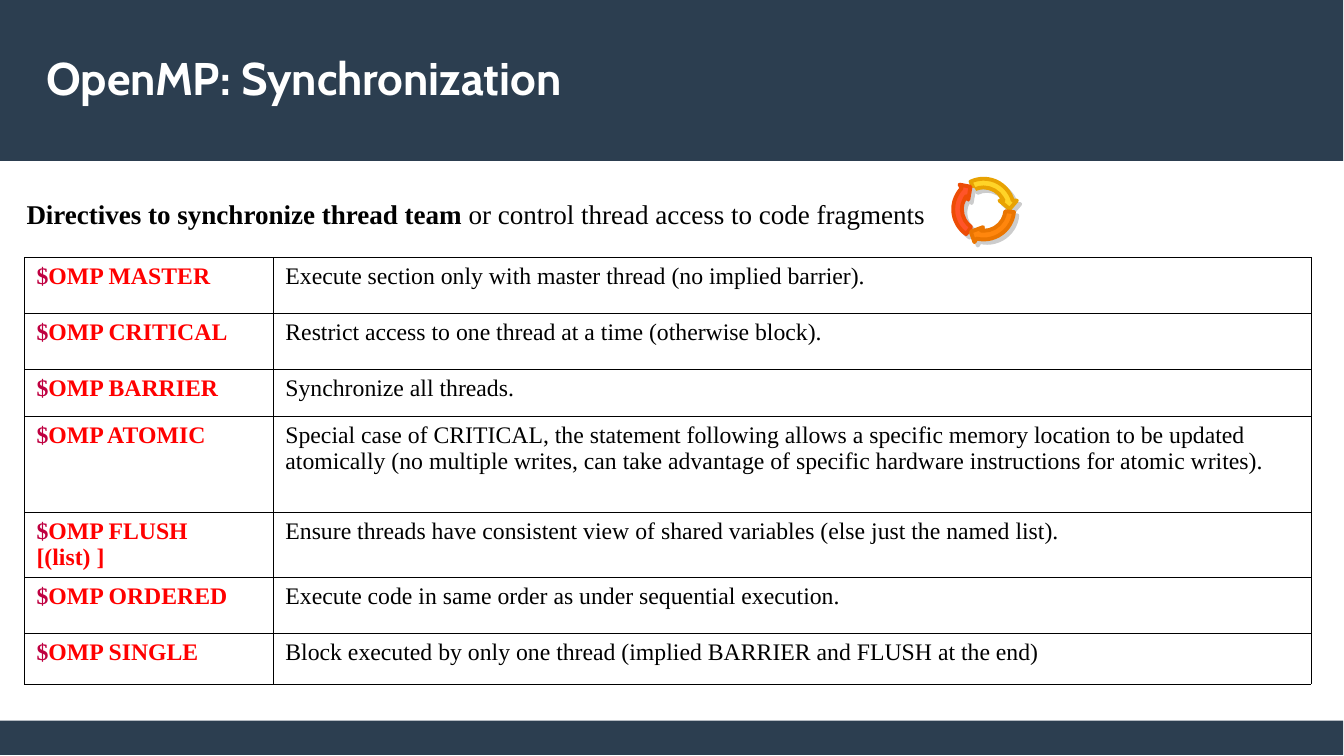
from dataclasses import dataclass

from lxml.etree import SubElement
from pptx import Presentation
from pptx.dml.color import RGBColor
from pptx.enum.shapes import MSO_SHAPE
from pptx.enum.text import MSO_ANCHOR, MSO_AUTO_SIZE, PP_ALIGN
from pptx.oxml import parse_xml
from pptx.oxml.ns import nsdecls, qn
from pptx.util import Pt


@dataclass(frozen=True)
class Theme:
    navy: str = "2C3E50"
    white: str = "FFFFFF"
    black: str = "000000"
    red: str = "FF0000"
    plum: str = "BF0041"
    shade: str = "CCCCCC"
    head: str = "Cabin"
    text: str = "Times New Roman"
    big: float = 27
    mid: float = 16
    small: float = 14


@dataclass(frozen=True)
class Band:
    top: float
    high: float


@dataclass(frozen=True)
class Arrow:
    turn: float
    start: float
    fill: str
    line: str


@dataclass(frozen=True)
class Entry:
    name: str
    note: str
    high: float


@dataclass(frozen=True)
class Part:
    text: str
    color: str
    bold: bool


THEME = Theme()
WIDE, HIGH = 793.44, 446.4
BANDS = [Band(425.5, 20.2), Band(0, 95)]
ARROWS = [
    Arrow(0, 146.73, "FFD428", "E8A202"),
    Arrow(240, 147, "FF5429", "ED4C05"),
    Arrow(120, 147.43, "FF860D", "EA7500"),
]
ENTRIES = [
    Entry("MASTER", "Execute section only with master thread (no implied barrier).", 33.1),
    Entry("CRITICAL", "Restrict access to one thread at a time (otherwise block).", 33.1),
    Entry("BARRIER", "Synchronize all threads.", 27.8),
    Entry("ATOMIC", "Special case of CRITICAL, the statement following allows a specific "
          "memory location to be updated atomically (no multiple writes, can take "
          "advantage of specific hardware instructions for atomic writes).", 56.7),
    Entry("FLUSH [(list) ]", "Ensure threads have consistent view of shared variables "
          "(else just the named list).", 32.4),
    Entry("ORDERED", "Execute code in same order as under sequential execution.", 33.1),
    Entry("SINGLE", "Block executed by only one thread (implied BARRIER and FLUSH "
          "at the end)", 30.2),
]


def paint(item, color: str) -> None:
    """Give a shape or cell a solid fill."""
    item.fill.solid()
    item.fill.fore_color.rgb = RGBColor.from_string(color)


def write(frame, parts: list[Part], size: float) -> None:
    """Fill the first paragraph with coloured runs in the text font."""
    para = frame.paragraphs[0]
    para.font.name = THEME.text
    para.font.size = Pt(size)
    for part in parts:
        run = para.add_run()
        run.text = part.text
        run.font.bold = part.bold
        run.font.color.rgb = RGBColor.from_string(part.color)


def add_band(slide, band: Band) -> None:
    """Place a full-width band behind everything else."""
    shape = slide.shapes.add_shape(
        MSO_SHAPE.RECTANGLE, 0, Pt(band.top), Pt(WIDE - 0.5), Pt(band.high))
    shape.shadow.inherit = False
    paint(shape, THEME.navy)
    shape.line.fill.background()
    slide.shapes.element.insert(2, shape.element)


def set_title(slide) -> None:
    title = slide.shapes.title
    title.left, title.top = Pt(27.4), Pt(18)
    title.width, title.height = Pt(735.8), Pt(55.4)
    frame = title.text_frame
    frame.auto_size = MSO_AUTO_SIZE.NONE
    frame.vertical_anchor = MSO_ANCHOR.MIDDLE
    frame.margin_left = frame.margin_right = 0
    frame.margin_top = frame.margin_bottom = 0
    frame.text = "OpenMP: Synchronization"
    para = frame.paragraphs[0]
    para.alignment = PP_ALIGN.LEFT
    para.font.name = THEME.head
    para.font.size = Pt(THEME.big)
    para.font.bold = True
    para.font.color.rgb = RGBColor.from_string(THEME.white)


def rule(cell) -> None:
    """Draw a hairline on all four sides of a cell."""
    props = cell._tc.get_or_add_tcPr()
    for spot, side in enumerate("LRTB"):
        props.insert(spot, parse_xml(
            f'<a:ln{side} {nsdecls("a")} w="{Pt(0.06)}"><a:solidFill>'
            f'<a:srgbClr val="{THEME.black}"/></a:solidFill></a:ln{side}>'))


def add_grid(slide) -> None:
    total = sum(entry.high for entry in ENTRIES)
    table = slide.shapes.add_table(
        len(ENTRIES), 2, Pt(14.4), Pt(151.9), Pt(759.6), Pt(total)).table
    table.first_row = table.horz_banding = False
    for column, wide in zip(table.columns, (146.9, 612.7)):
        column.width = Pt(wide)
    for row, entry in zip(table.rows, ENTRIES):
        row.height = Pt(entry.high)
        texts = (
            [Part("$", THEME.plum, True), Part(f"OMP {entry.name}", THEME.red, True)],
            [Part(entry.note, THEME.black, False)],
        )
        for cell, parts in zip(row.cells, texts):
            paint(cell, THEME.white)
            rule(cell)
            write(cell.text_frame, parts, THEME.small)


def add_lead(slide) -> None:
    box = slide.shapes.add_textbox(Pt(8.6), Pt(113), Pt(660.2), Pt(27.4))
    box.text_frame.word_wrap = True
    write(box.text_frame, [
        Part("Directives to synchronize thread team", THEME.black, True),
        Part(" or control thread access to code fragments", THEME.black, False),
    ], THEME.mid)


def add_shade(shape) -> None:
    """Cast a hard shadow to the lower right."""
    shape.shadow.inherit = False
    effects = shape.element.spPr.find(qn("a:effectLst"))
    shadow = SubElement(effects, qn("a:outerShdw"), blurRad="0",
                        dist=str(Pt(2.8)), dir="2700000", rotWithShape="0")
    SubElement(shadow, qn("a:srgbClr"), val=THEME.shade)


def add_ring(slide) -> None:
    group = slide.shapes.add_group_shape()
    for arrow in ARROWS:
        shape = group.shapes.add_shape(
            MSO_SHAPE.CIRCULAR_ARROW, Pt(560.2), Pt(103), Pt(41), Pt(41))
        for spot, value in enumerate((0.125, 11.42, 204.58, arrow.start, 0.125)):
            shape.adjustments[spot] = value
        shape.rotation = arrow.turn
        paint(shape, arrow.fill)
        shape.line.color.rgb = RGBColor.from_string(arrow.line)
        shape.line.width = Pt(2.3)
        add_shade(shape)


def main() -> None:
    deck = Presentation()
    deck.slide_width, deck.slide_height = Pt(WIDE), Pt(HIGH)
    slide = deck.slides.add_slide(deck.slide_layouts[5])
    for band in BANDS:
        add_band(slide, band)
    set_title(slide)
    add_grid(slide)
    add_lead(slide)
    add_ring(slide)
    deck.save("out.pptx")


if __name__ == "__main__":
    main()
